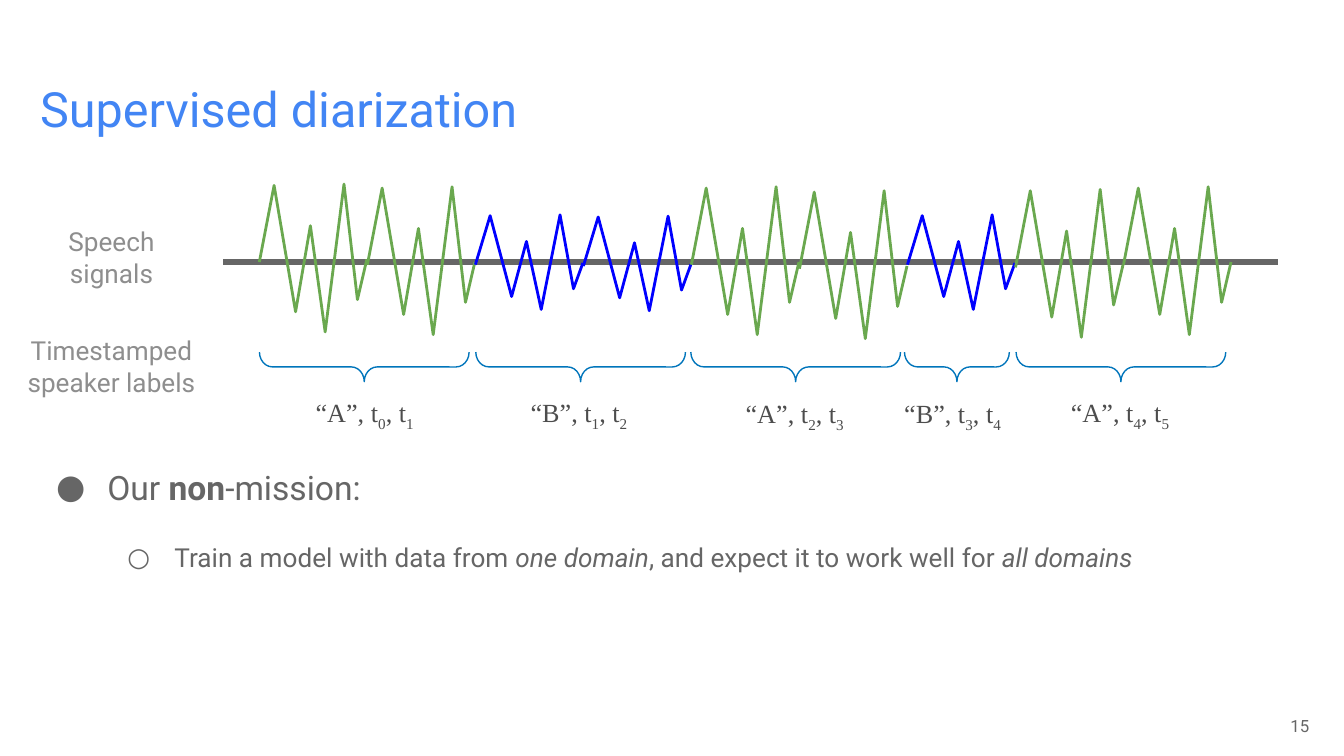
import pptx
import pptx.dml.color
import pptx.enum.shapes
import pptx.enum.text
import pptx.oxml
import pptx.util
from lxml import etree
from pptx.util import Inches

COLORS = {
    "title": "4285F4",
    "body": "666666",
    "caption": "8E8E8E",
    "label": "4D4D4D",
    "speaker_a": "6AA84F",
    "speaker_b": "0000FF",
    "brace": "0075BB",
}
ALIGN = pptx.enum.text.PP_ALIGN
ANCHOR = pptx.enum.text.MSO_ANCHOR

WAVE_LEFT, WAVE_STEP = 1.93, (8.36 - 1.93) / 8
WAVE_X = [0, 0.11, 0.27, 0.38, 0.49, 0.63, 0.73, 0.80]
WAVE_Y = [0, -0.57, 0.37, -0.27, 0.52, -0.58, 0.28, -0.02]
QUIET = 0.64

# Speaker and starting height of each wave
WAVES = [("A", 1.95), ("A", 1.97), ("B", 1.97), ("B", 1.98), ("A", 1.97),
         ("A", 2.00), ("B", 1.97), ("A", 1.99), ("A", 1.97)]
# Speaker, brace centre, brace span, label left and label top of each segment
SEGMENTS = [("A", 2.71, 1.56, 2.25, 2.9), ("B", 4.32, 1.56, 3.85, 2.9),
            ("A", 5.92, 1.56, 5.45, 2.91), ("B", 7.12, 0.78, 6.63, 2.91),
            ("A", 8.34, 1.56, 7.87, 2.9)]


def rgb(name):
    return pptx.dml.color.RGBColor.from_string(COLORS[name])


def set_line(shape, color, width):
    shape.line.color.rgb = rgb(color)
    shape.line.width = pptx.util.Pt(width)


def add_bullet(paragraph, character, color, left, indent, font="Roboto"):
    properties = paragraph._p.get_or_add_pPr()
    properties.set("marL", str(Inches(left)))
    properties.set("indent", str(Inches(indent)))
    bullet_color = etree.SubElement(properties, pptx.oxml.ns.qn("a:buClr"))
    etree.SubElement(bullet_color, pptx.oxml.ns.qn("a:srgbClr"), val=COLORS[color])
    etree.SubElement(properties, pptx.oxml.ns.qn("a:buFont"), typeface=font)
    etree.SubElement(properties, pptx.oxml.ns.qn("a:buChar"), char=character)


def add_runs(paragraph, runs, size, color, font="Roboto"):
    """Add runs given as (text, style); style is "", "bold", "italic" or "sub"."""
    for text, style in runs:
        run = paragraph.add_run()
        run.text = text
        run.font.size = pptx.util.Pt(size)
        run.font.name = font
        run.font.color.rgb = rgb(color)
        if style == "bold":
            run.font.bold = True
        elif style == "italic":
            run.font.italic = True
        elif style == "sub":
            run._r.get_or_add_rPr().set("baseline", "-25000")


def add_text(slide, box, paragraphs, size, color, font="Roboto", align=ALIGN.LEFT,
             anchor=ANCHOR.TOP, wrap=True, inset=0.05):
    """Add a text box; each paragraph is a list of (text, style) runs."""
    frame = slide.shapes.add_textbox(*map(Inches, box)).text_frame
    frame.word_wrap = wrap
    frame.vertical_anchor = anchor
    frame.margin_top = frame.margin_bottom = Inches(inset)
    for index, runs in enumerate(paragraphs):
        paragraph = frame.add_paragraph() if index else frame.paragraphs[0]
        paragraph.alignment = align
        add_runs(paragraph, runs, size, color, font)
    return frame


def add_axis(slide):
    axis = slide.shapes.add_connector(pptx.enum.shapes.MSO_CONNECTOR.STRAIGHT,
                                      Inches(1.66), Inches(1.95), Inches(9.51), Inches(1.95))
    set_line(axis, "body", 3)
    etree.SubElement(axis._element.spPr, pptx.oxml.ns.qn("a:effectLst"))


def add_wave(slide, left, base, speaker):
    height = 1 if speaker == "A" else QUIET
    points = [(Inches(left + x), Inches(base + y * height)) for x, y in zip(WAVE_X, WAVE_Y)]
    builder = slide.shapes.build_freeform(*points[0])
    builder.add_line_segments(points[1:], close=False)
    wave = builder.convert_to_shape()
    wave.shadow.inherit = False
    wave.fill.background()
    set_line(wave, "speaker_a" if speaker == "A" else "speaker_b", 1.5)


def add_brace(slide, center, span):
    """Add a brace of the given span, turned to point down."""
    depth, middle = 0.22, 2.73
    brace = slide.shapes.add_shape(pptx.enum.shapes.MSO_SHAPE.RIGHT_BRACE,
                                   Inches(center - depth / 2), Inches(middle - span / 2),
                                   Inches(depth), Inches(span))
    brace.rotation = 90
    brace.adjustments[0] = 0.44
    brace.shadow.inherit = False
    brace.fill.background()
    set_line(brace, "brace", 0.75)


def add_mission(slide):
    frame = add_text(slide, (0.2, 3.33, 9.6, 1.66), [[]], 18, "body", inset=0.1)
    mission = frame.paragraphs[0]
    add_bullet(mission, "●", "body", 0.5, -0.38)
    add_runs(mission, [("Our ", ""), ("non", "bold"), ("-mission:", "")], 18, "body")

    detail = frame.add_paragraph()
    detail.level = 1
    add_bullet(detail, "○", "body", 1, -0.35)
    detail.space_before = pptx.util.Pt(16)
    add_runs(detail, [("Train a model with data from ", ""), ("one domain", "italic"),
                      (", and expect it to work well for ", ""), ("all domains", "italic")],
             14, "body")
    for paragraph in frame.paragraphs:
        paragraph.line_spacing = 1.15


def main():
    presentation = pptx.Presentation()
    presentation.slide_width = Inches(10)
    presentation.slide_height = Inches(10) * 9 // 16
    slide = presentation.slides.add_slide(presentation.slide_layouts[6])

    add_text(slide, (0.2, 0.49, 9.6, 0.63), [[("Supervised diarization", "")]],
             26, "title", inset=0.1)

    add_axis(slide)
    for index, (speaker, base) in enumerate(WAVES):
        add_wave(slide, WAVE_LEFT + index * WAVE_STEP, base, speaker)

    add_text(slide, (0.1, 1.63, 1.46, 0.57), [[("Speech signals", "")]],
             14, "caption", align=ALIGN.CENTER)
    add_text(slide, (0.1, 2.44, 1.46, 0.57),
             [[("Timestamped", "")], [("speaker labels", "")]],
             14, "caption", align=ALIGN.CENTER, wrap=False)

    for index, (speaker, center, span, left, top) in enumerate(SEGMENTS):
        add_brace(slide, center, span)
        runs = [(f"“{speaker}”, t", ""), (str(index), "sub"),
                (", t", ""), (str(index + 1), "sub")]
        add_text(slide, (left, top, 0.94, 0.34), [runs], 14, "label",
                 font="Times New Roman", wrap=False)

    add_mission(slide)
    add_text(slide, (9.24, 5.25, 0.6, 0.3), [[("15", "")]], 9, "body",
             align=ALIGN.RIGHT, anchor=ANCHOR.MIDDLE, inset=0.1)

    presentation.save("out.pptx")


if __name__ == "__main__":
    main()
